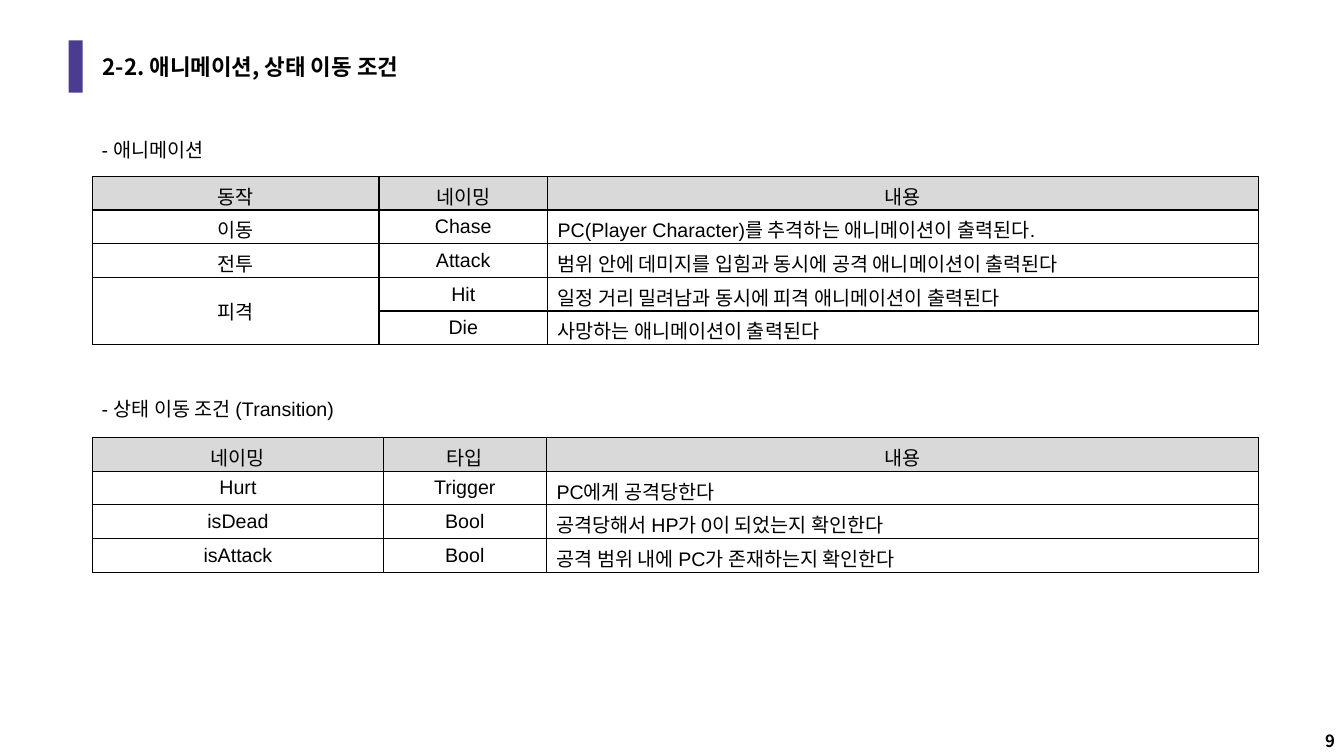
from dataclasses import dataclass

from lxml import etree
from pptx import Presentation
from pptx.dml.color import RGBColor
from pptx.enum.shapes import MSO_SHAPE
from pptx.enum.text import MSO_ANCHOR, MSO_AUTO_SIZE, PP_ALIGN
from pptx.oxml.ns import qn
from pptx.util import Inches, Pt

BLACK = RGBColor(0x00, 0x00, 0x00)
WHITE = RGBColor(0xFF, 0xFF, 0xFF)
HEADER_GRAY = RGBColor(0xD9, 0xD9, 0xD9)
PURPLE = RGBColor(0x4B, 0x3C, 0x8F)
BODY_FONT = "Arial"
HEAD_FONT = "Noto Sans CJK KR"
TABLE_LEFT = 0.92
ROW_HEIGHT = 1 / 3


@dataclass
class Section:
    heading: str
    heading_top: float
    heading_width: float
    table_top: float
    col_widths: tuple[float, ...]
    rows: list[tuple[str, ...]]


# An empty first cell is merged with the cell above it.
SECTIONS = [
    Section("- 애니메이션", 1.32, 1.3, 1.75, (2.84, 1.67, 7.05), [
        ("동작", "네이밍", "내용"),
        ("이동", "Chase", "PC(Player Character)를 추격하는 애니메이션이 출력된다."),
        ("전투", "Attack", "범위 안에 데미지를 입힘과 동시에 공격 애니메이션이 출력된다"),
        ("피격", "Hit", "일정 거리 밀려남과 동시에 피격 애니메이션이 출력된다"),
        ("", "Die", "사망하는 애니메이션이 출력된다"),
    ]),
    Section("- 상태 이동 조건 (Transition)", 3.89, 2.71, 4.34, (2.88, 1.62, 7.06), [
        ("네이밍", "타입", "내용"),
        ("Hurt", "Trigger", "PC에게 공격당한다"),
        ("isDead", "Bool", "공격당해서 HP가 0이 되었는지 확인한다"),
        ("isAttack", "Bool", "공격 범위 내에 PC가 존재하는지 확인한다"),
    ]),
]


def add_run(p, text: str, size: float = 14, font: str = BODY_FONT, bold: bool = False):
    r = p.add_run()
    r.text = text
    r.font.size = Pt(size)
    r.font.name = font
    r.font.bold = bold
    r.font.color.rgb = BLACK
    if font == HEAD_FONT:
        etree.SubElement(r._r.get_or_add_rPr(), qn("a:ea"), typeface=font)
    return r


def add_text_frame(slide, left: float, top: float, width: float, height: float,
                   anchor: MSO_ANCHOR = MSO_ANCHOR.TOP, wrap: bool = True):
    box = slide.shapes.add_textbox(Inches(left), Inches(top), Inches(width), Inches(height))
    tf = box.text_frame
    tf.word_wrap = wrap
    tf.vertical_anchor = anchor
    return tf


def set_borders(cell) -> None:
    """Put a 1 pt black line on all four sides, ahead of the cell fill."""
    tc_pr = cell._tc.get_or_add_tcPr()
    for i, side in enumerate(("lnL", "lnR", "lnT", "lnB")):
        ln = etree.Element(qn(f"a:{side}"), w=str(Pt(1)))
        fill = etree.SubElement(ln, qn("a:solidFill"))
        etree.SubElement(fill, qn("a:srgbClr"), val=str(BLACK))
        tc_pr.insert(i, ln)


def add_section(slide, section: Section) -> None:
    tf = add_text_frame(slide, 0.91, section.heading_top, section.heading_width, 0.34, wrap=False)
    tf.auto_size = MSO_AUTO_SIZE.SHAPE_TO_FIT_TEXT
    add_run(tf.paragraphs[0], section.heading)

    n_rows, widths = len(section.rows), section.col_widths
    table = slide.shapes.add_table(
        n_rows, len(widths), Inches(TABLE_LEFT), Inches(section.table_top),
        Inches(sum(widths)), Inches(n_rows * ROW_HEIGHT)).table
    for col, width in zip(table.columns, widths):
        col.width = Inches(width)
    for i, row in enumerate(section.rows):
        for j, text in enumerate(row):
            cell = table.cell(i, j)
            cell.fill.solid()
            cell.fill.fore_color.rgb = HEADER_GRAY if i == 0 else WHITE
            cell.vertical_anchor = MSO_ANCHOR.MIDDLE
            set_borders(cell)
            if not text:
                table.cell(i - 1, j).merge(cell)
                continue
            p = cell.text_frame.paragraphs[0]
            p.alignment = PP_ALIGN.LEFT if i > 0 and j == 2 else PP_ALIGN.CENTER
            add_run(p, text)


def add_title(slide, text: str) -> None:
    bar = slide.shapes.add_shape(
        MSO_SHAPE.RECTANGLE, Inches(0.68), Inches(0.4), Inches(0.14), Inches(0.52))
    bar.shadow.inherit = False
    bar.fill.solid()
    bar.fill.fore_color.rgb = PURPLE
    bar.line.fill.background()

    p = add_text_frame(slide, 0.92, 0.4, 11.5, 0.52, MSO_ANCHOR.MIDDLE).paragraphs[0]
    p.line_spacing = 0.9
    r = add_run(p, text, 20, HEAD_FONT, bold=True)
    r._r.get_or_add_rPr().set("cap", "small")


def add_page_number(slide, number: int) -> None:
    p = add_text_frame(slide, 12.42, 7.1, 0.92, 0.4, MSO_ANCHOR.BOTTOM).paragraphs[0]
    p.alignment = PP_ALIGN.RIGHT
    add_run(p, str(number), 12, HEAD_FONT, bold=True)


def main() -> None:
    prs = Presentation()
    prs.slide_width, prs.slide_height = Inches(13.33), Inches(7.5)
    s = prs.slides.add_slide(prs.slide_layouts[6])
    add_page_number(s, 9)
    add_title(s, "2-2. 애니메이션, 상태 이동 조건")
    for section in SECTIONS:
        add_section(s, section)
    prs.save("out.pptx")


if __name__ == "__main__":
    main()
